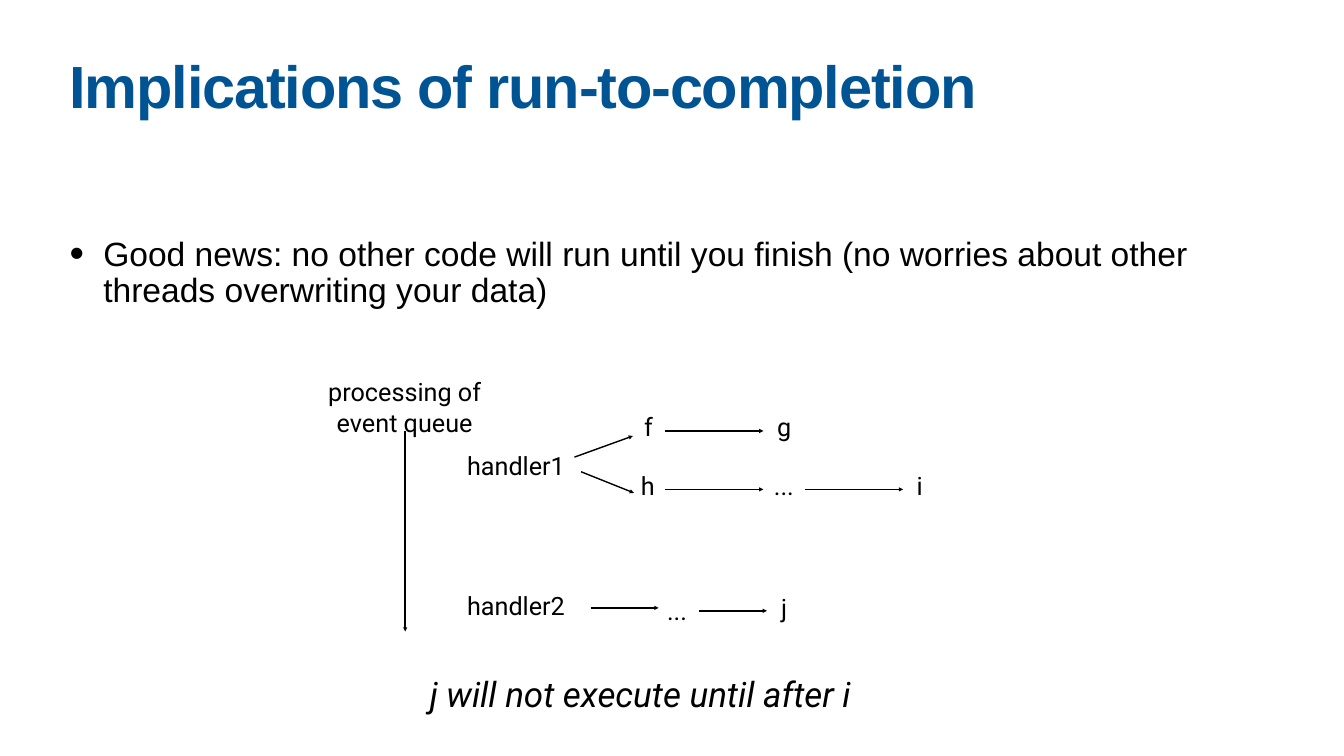
from lxml import etree
from pptx import Presentation
from pptx.dml.color import RGBColor
from pptx.enum.shapes import MSO_CONNECTOR
from pptx.enum.text import MSO_ANCHOR, MSO_AUTO_SIZE, PP_ALIGN
from pptx.oxml.ns import qn
from pptx.util import Inches, Pt

TOP, MIDDLE = MSO_ANCHOR.TOP, MSO_ANCHOR.MIDDLE
LEFT, CENTER = PP_ALIGN.LEFT, PP_ALIGN.CENTER
STRAIGHT = MSO_CONNECTOR.STRAIGHT
BLACK, BLUE = "000000", "005493"

TITLE = "Implications of run-to-completion"
BULLET = ("Good news: no other code will run until you finish "
          "(no worries about other threads overwriting your data)")
QUEUE = "processing of event queue"
CONCLUSION = "j will not execute until after i"

# Call-graph labels: text, left, top, width
LABEL_H = 0.75
LABELS = [
    ("handler1", 9.17, 8.86, 2.14),
    ("f", 12.7, 8.09, 0.31),
    ("g", 15.32, 8.09, 0.48),
    ("h", 12.63, 9.25, 0.45),
    ("...", 15.26, 9.25, 0.59),
    ("i", 18.11, 9.25, 0.28),
    ("handler2", 9.17, 11.63, 2.14),
    ("...", 13.14, 11.73, 0.59),
    ("j", 15.42, 11.68, 0.28),
]

# Arrows: x1, y1, x2, y2
ARROWS = [
    (8.04, 8.55, 8.04, 12.53),      # event queue timeline
    (11.4, 9.07, 12.56, 8.65),      # handler1 to f
    (11.53, 9.36, 12.58, 9.78),     # handler1 to h
    (13.19, 8.55, 15.15, 8.55),     # f to g
    (13.19, 9.71, 15.15, 9.71),     # h to ...
    (15.97, 9.71, 17.92, 9.71),     # ... to i
    (11.72, 12.06, 13.07, 12.06),   # handler2 to ...
    (13.88, 12.12, 15.22, 12.12),   # ... to j
]


def rgb(color):
    return RGBColor.from_string(color)


def add_text(s, text, box, size, font="Roboto", color=BLACK, align=CENTER,
             anchor=MIDDLE, inset=0.08, wrap=True, grow=True):
    """Add a one-paragraph text box and return its paragraph."""
    tf = s.shapes.add_textbox(*map(Inches, box)).text_frame
    tf.text = text
    tf.word_wrap = wrap
    tf.auto_size = MSO_AUTO_SIZE.SHAPE_TO_FIT_TEXT if grow else MSO_AUTO_SIZE.NONE
    tf.vertical_anchor = anchor
    tf.margin_left = tf.margin_right = Inches(inset)
    tf.margin_top = tf.margin_bottom = Inches(inset)
    p = tf.paragraphs[0]
    p.alignment = align
    r = p.runs[0]
    r.font.size, r.font.name = Pt(size), font
    r.font.color.rgb = rgb(color)
    return p


def add_bullet(p, indent, percent):
    pPr = p._p.get_or_add_pPr()
    pPr.set("marL", str(Inches(indent)))
    pPr.set("indent", str(-Inches(indent)))
    etree.SubElement(pPr, qn("a:buSzPct")).set("val", str(percent * 1000))
    etree.SubElement(pPr, qn("a:buFont")).set("typeface", "Arial")
    etree.SubElement(pPr, qn("a:buChar")).set("char", "•")


def add_arrow(s, ends):
    line = s.shapes.add_connector(STRAIGHT, *map(Inches, ends))
    line.line.color.rgb = rgb(BLACK)
    line.line.width = Pt(2)
    ln = line.line._get_or_add_ln()
    etree.SubElement(ln, qn("a:tailEnd")).set("type", "triangle")
    etree.SubElement(line._element.spPr, qn("a:effectLst"))


def main():
    prs = Presentation()
    prs.slide_width, prs.slide_height = Inches(26.67), Inches(15)
    s = prs.slides.add_slide(prs.slide_layouts[6])

    # Title and bullet
    heading = dict(font="Arial", align=LEFT, anchor=TOP, inset=0.06, grow=False)
    p = add_text(s, TITLE, (1.32, 1.18, 24.03, 1.57), 85, color=BLUE, **heading)
    p.line_spacing = 0.8
    p.runs[0].font.bold = True
    p.runs[0]._r.get_or_add_rPr().set("spc", "-170")
    p = add_text(s, BULLET, (1.32, 4.65, 24.03, 9.03), 48, **heading)
    p.line_spacing = 0.9
    add_bullet(p, 0.67, 123)

    # Event queue and call graph
    add_text(s, QUEUE, (5.89, 7.4, 4.28, 1.35), 36)
    for text, x, y, w in LABELS:
        add_text(s, text, (x, y, w, LABEL_H), 36, wrap=False)
    for ends in ARROWS:
        add_arrow(s, ends)

    # Conclusion
    p = add_text(s, CONCLUSION, (8.45, 13.27, 8.7, 0.99), 50, align=LEFT, wrap=False)
    p.runs[0].font.italic = True

    prs.save("out.pptx")


if __name__ == "__main__":
    main()
